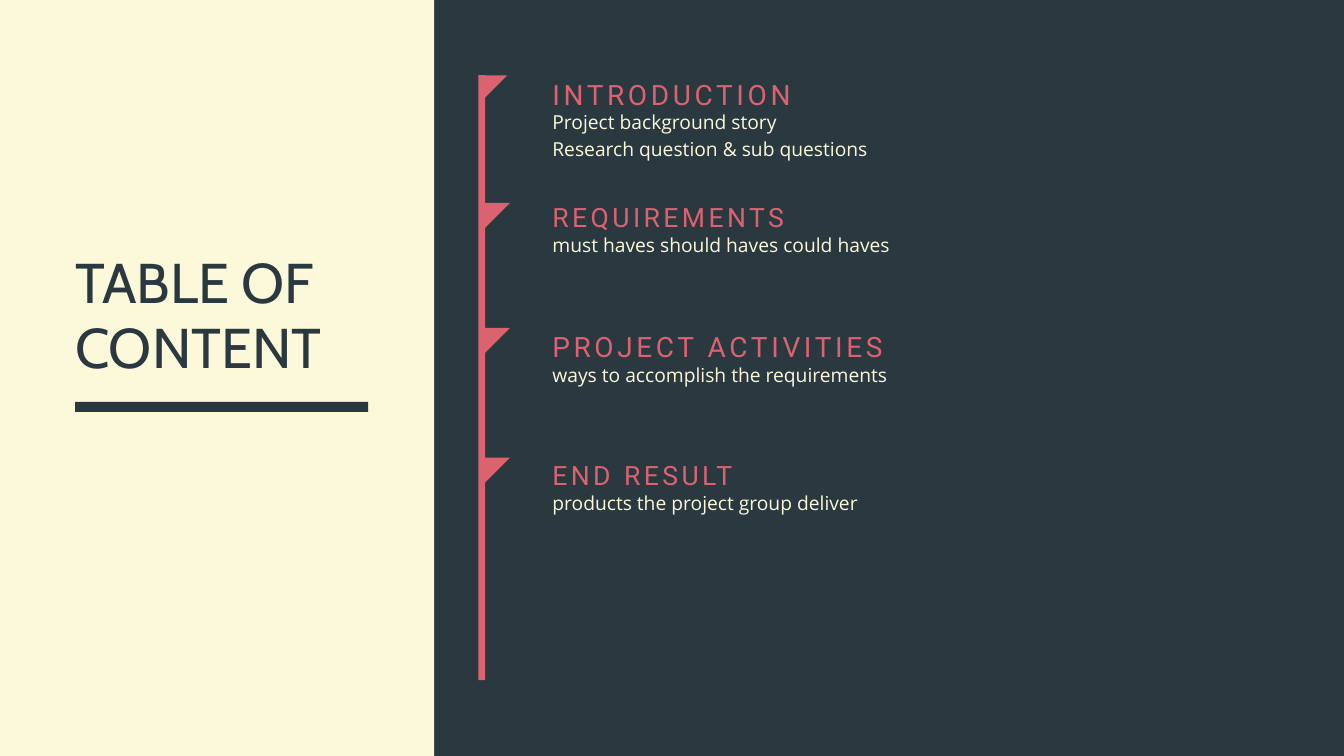
from pptx import Presentation
from pptx.dml.color import RGBColor
from pptx.enum.shapes import MSO_SHAPE
from pptx.enum.text import MSO_ANCHOR, MSO_AUTO_SIZE, PP_ALIGN
from pptx.util import Emu, Pt

PX = 9144  # 100 px to the inch
RECT = MSO_SHAPE.RECTANGLE
TOP = MSO_ANCHOR.TOP
LEFT = PP_ALIGN.LEFT
NO_FIT = MSO_AUTO_SIZE.NONE

SLATE = RGBColor(0x2A, 0x38, 0x3F)
CREAM = RGBColor(0xFC, 0xF9, 0xDA)
CORAL = RGBColor(0xDB, 0x63, 0x6F)

TEXT_X = 822
TEXT_W = 1054
FLAG_SIZE = 41

# flag left, flag top, heading top, heading size, heading, body top, body lines
SECTIONS = [
    (714, 112, 98, 30, "INTRODUCTION", 158,
     ["Project background story", "Research question & sub questions"]),
    (718, 302, 283, 28.5, "REQUIREMENTS", 341,
     ["must haves should haves could haves"]),
    (718, 488, 474, 30, "PROJECT ACTIVITIES", 535,
     ["ways to accomplish the requirements"]),
    (718, 681, 667, 28.5, "END RESULT", 725,
     ["products the project group deliver"]),
]


def px(n):
    return Emu(n * PX)


def paint(sp, color):
    sp.shadow.inherit = False
    sp.fill.solid()
    sp.fill.fore_color.rgb = color
    sp.line.fill.background()


def add_bar(s, x, y, w, h, color):
    sp = s.shapes.add_shape(RECT, px(x), px(y), px(w), px(h))
    paint(sp, color)
    return sp


def add_flag(s, x, y):
    """Draw a triangle with its right angle at the top left."""
    builder = s.shapes.build_freeform(x, y + FLAG_SIZE, scale=PX)
    builder.add_line_segments([(x, y), (x + FLAG_SIZE, y)], close=True)
    paint(builder.convert_to_shape(), CORAL)


def write(sp, lines, font, size, color, leading, tracking=0):
    """Fill a shape with one paragraph a line; tracking is in 1/100 pt."""
    tf = sp.text_frame
    tf.word_wrap = True
    tf.auto_size = NO_FIT
    tf.vertical_anchor = TOP
    tf.margin_left = tf.margin_right = tf.margin_top = tf.margin_bottom = 0
    for i, line in enumerate(lines):
        p = tf.add_paragraph() if i else tf.paragraphs[0]
        p.alignment = LEFT
        p.line_spacing = Pt(leading)
        r = p.add_run()
        r.text = line
        r.font.name = font
        r.font.size = Pt(size)
        r.font.color.rgb = color
        if tracking:
            r.font._element.set("spc", str(tracking))


def add_text(s, y, h, *style):
    sp = s.shapes.add_textbox(px(TEXT_X), px(y), px(TEXT_W), px(h))
    write(sp, *style)


def add_title_panel(s):
    panel = add_bar(s, 0, 0, 646, 1125, CREAM)
    title = s.shapes.title
    title._element.addprevious(panel._element)  # keep the title in front
    title.left, title.top = px(112), px(373)
    title.width, title.height = px(445), px(194)
    write(title, ["TABLE OF CONTENT"], "Cabin", 60, SLATE, 69)
    add_bar(s, 112, 598, 436, 15, SLATE)


def main():
    prs = Presentation()
    prs.slide_width, prs.slide_height = px(2000), px(1125)
    s = prs.slides.add_slide(prs.slide_layouts[5])
    s.background.fill.solid()
    s.background.fill.fore_color.rgb = SLATE

    add_title_panel(s)
    add_bar(s, 712, 112, 10, 900, CORAL)
    for flag_x, flag_y, head_y, size, heading, body_y, body in SECTIONS:
        add_flag(s, flag_x, flag_y)
        add_text(s, head_y, 63, [heading], "Roboto", size, CORAL,
                 size * 1.6, int(size * 13))
        add_text(s, body_y, 39 * len(body), body, "Open Sans", 20.6, CREAM, 28.8)
    prs.save("out.pptx")


if __name__ == "__main__":
    main()
